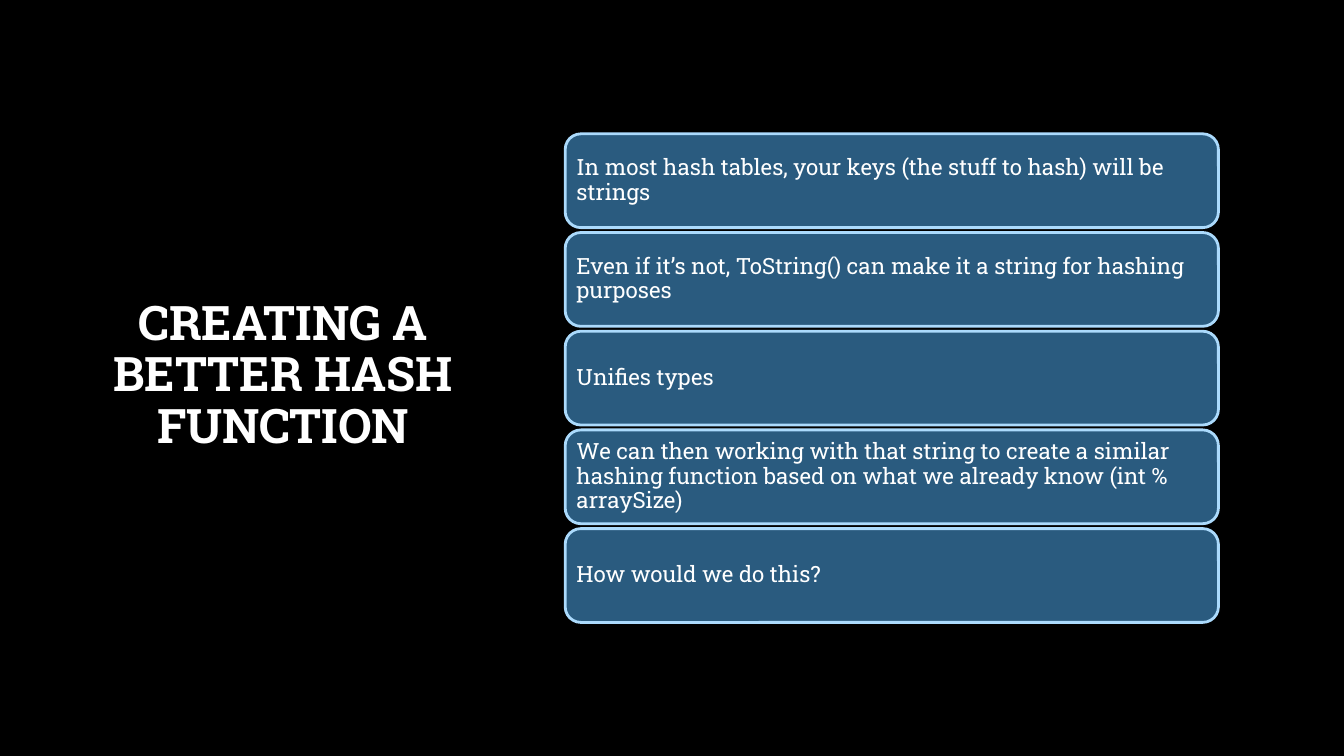
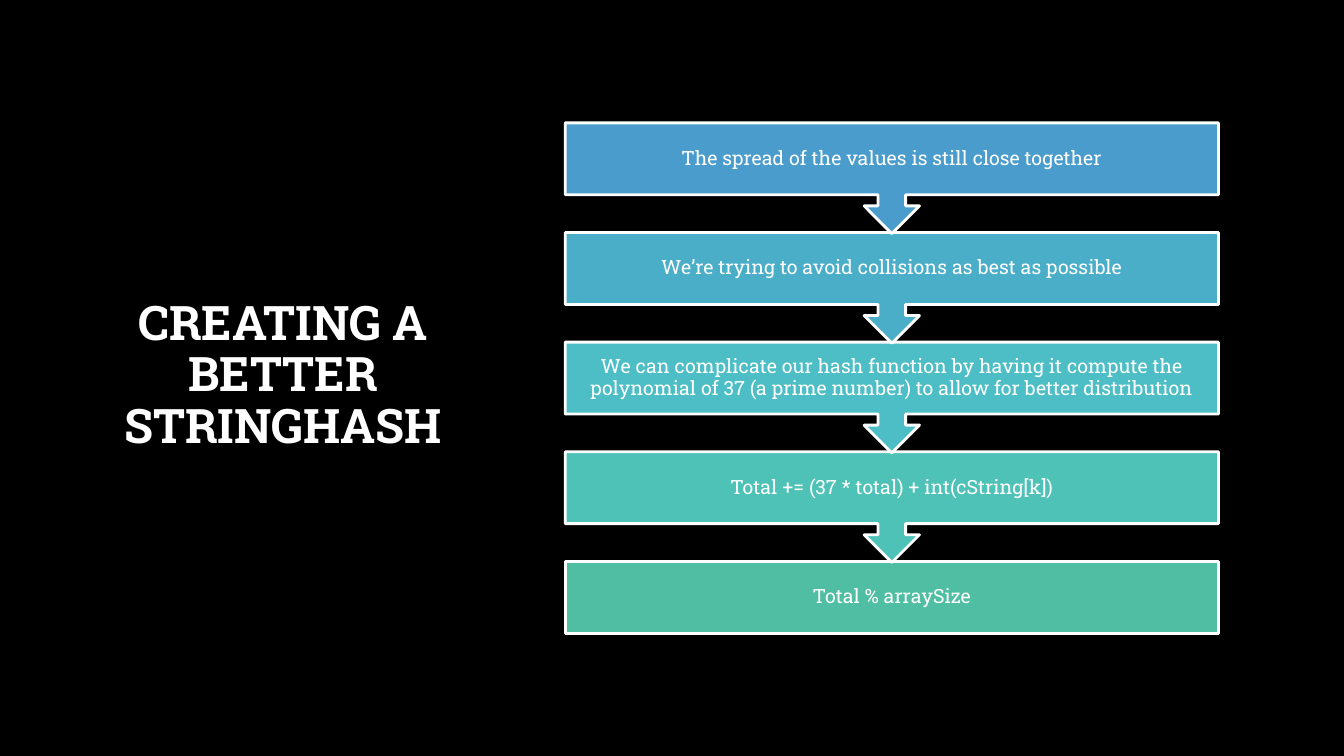
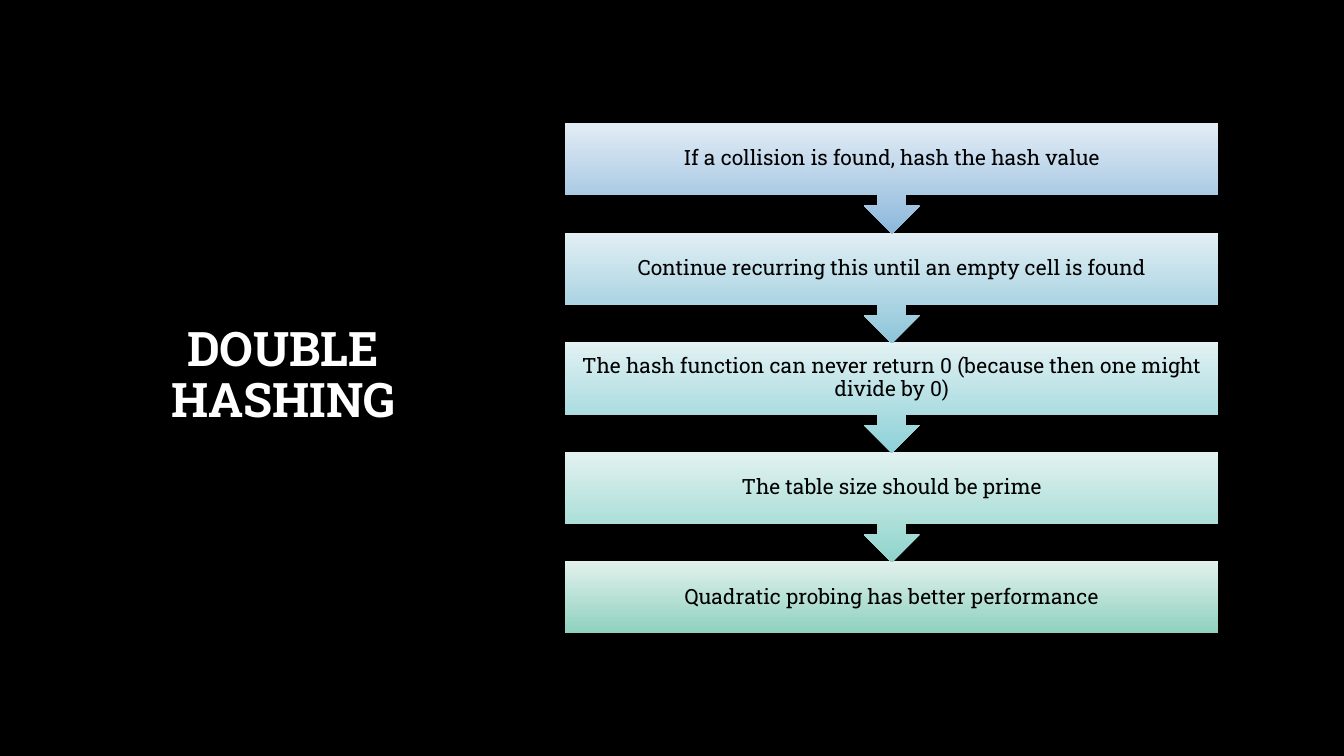
from pptx import Presentation
from pptx.dml.color import RGBColor
from pptx.enum.shapes import MSO_SHAPE as SHAPE
from pptx.enum.text import MSO_ANCHOR as ANCHOR, MSO_AUTO_SIZE as AUTO, PP_ALIGN as ALIGN
from pptx.util import Pt

FONT = "Roboto Slab"
BLACK, WHITE = "000000", "FFFFFF"
TITLE_BOX = (59, 48.2, 286.6, 441.4)
LEFT, WIDTH = 403.7, 466.6

KEYS = [
    "In most hash tables, your keys (the stuff to hash) will be strings",
    "Even if it’s not, ToString() can make it a string for hashing purposes",
    "Unifies types",
    "We can then working with that string to create a similar hashing function "
    "based on what we already know (int % arraySize)",
    "How would we do this?",
]
STRING_HASH = [
    ("The spread of the values is still close together", ["4A9CCC"]),
    ("We’re trying to avoid collisions as best as possible", ["4BAEC9"]),
    ("We can complicate our hash function by having it compute the polynomial of 37 "
     "(a prime number) to allow for better distribution", ["4DBEC5"]),
    ("Total += (37 * total) + int(cString[k])", ["4EC2B7"]),
    ("Total % arraySize", ["50BEA3"]),
]
DOUBLE_HASH = [
    ("If a collision is found, hash the hash value", ["E3ECF5", "8CB8DC"]),
    ("Continue recurring this until an empty cell is found", ["E2EFF4", "8DC5D9"]),
    ("The hash function can never return 0 (because then one might divide by 0)",
     ["E2F1F3", "8DD1D7"]),
    ("The table size should be prime", ["E2F2F0", "8ED4CC"]),
    ("Quadratic probing has better performance", ["E1F1EC", "8FD1BE"]),
]


def rgb(value):
    return RGBColor.from_string(value)


def write(tf, text, size, color, align, bold=False):
    tf.text = text
    tf.word_wrap = True
    tf.auto_size = AUTO.NONE
    tf.vertical_anchor = ANCHOR.MIDDLE
    p = tf.paragraphs[0]
    p.alignment, p.line_spacing = align, 0.9
    font = p.runs[0].font
    font.name, font.size, font.bold = FONT, Pt(size), bold
    font.color.rgb = rgb(color)


def place(shape, left, top, width, height):
    shape.left, shape.top, shape.width, shape.height = map(Pt, (left, top, width, height))


def add_slide(title):
    s = prs.slides.add_slide(layout)
    write(s.shapes.title.text_frame, title, 34, WHITE, ALIGN.CENTER, True)
    return s


def add_box(s, kind, top, height, text, fills, line, size, color, inset, align):
    sp = s.shapes.add_shape(kind, Pt(LEFT), Pt(top), Pt(WIDTH), Pt(height))
    sp.shadow.inherit = False
    if len(fills) == 1:
        sp.fill.solid()
        sp.fill.fore_color.rgb = rgb(fills[0])
    else:
        sp.fill.gradient()
        sp.fill.gradient_angle = 270
        for stop, fill in zip(sp.fill.gradient_stops, fills):
            stop.color.rgb = rgb(fill)
    if line:
        sp.line.color.rgb = rgb(line)
        sp.line.width = Pt(2)
    else:
        sp.line.fill.background()
    tf = sp.text_frame
    tf.margin_left = tf.margin_right = tf.margin_top = tf.margin_bottom = Pt(inset)
    write(tf, text, size, color, align)
    tf.paragraphs[0].space_after = Pt(round(0.35 * size, 2))


def add_steps(s, steps, line, size, color, inset):
    top, pitch, box, callout = 87.8, 78.3, 51.4, 79.1
    last = len(steps) - 1
    for i, (text, fills) in reversed(list(enumerate(steps))):
        kind, height = ((SHAPE.RECTANGLE, box) if i == last
                        else (SHAPE.DOWN_ARROW_CALLOUT, callout))
        add_box(s, kind, top + i * pitch, height, text, fills, line,
                size, color, inset, ALIGN.CENTER)


prs = Presentation()
prs.slide_width, prs.slide_height = Pt(960), Pt(540)
background = prs.slide_master.background.fill
background.solid()
background.fore_color.rgb = rgb(BLACK)
layout = prs.slide_layouts[5]
place(layout.placeholders[0], *TITLE_BOX)

s = add_slide("CREATING A BETTER HASH FUNCTION")
for i, key in enumerate(KEYS):
    add_box(s, SHAPE.ROUNDED_RECTANGLE, 95.6 + i * 70.5, 67, key, ["2A5B7F"], "ABDAFC",
            16, WHITE, 4.8, ALIGN.LEFT)

s = add_slide("CREATING A BETTER STRINGHASH")
add_steps(s, STRING_HASH, WHITE, 14, WHITE, 7.8)

s = add_slide("DOUBLE HASHING")
add_steps(s, DOUBLE_HASH, None, 15, BLACK, 8.4)

prs.save("out.pptx")
